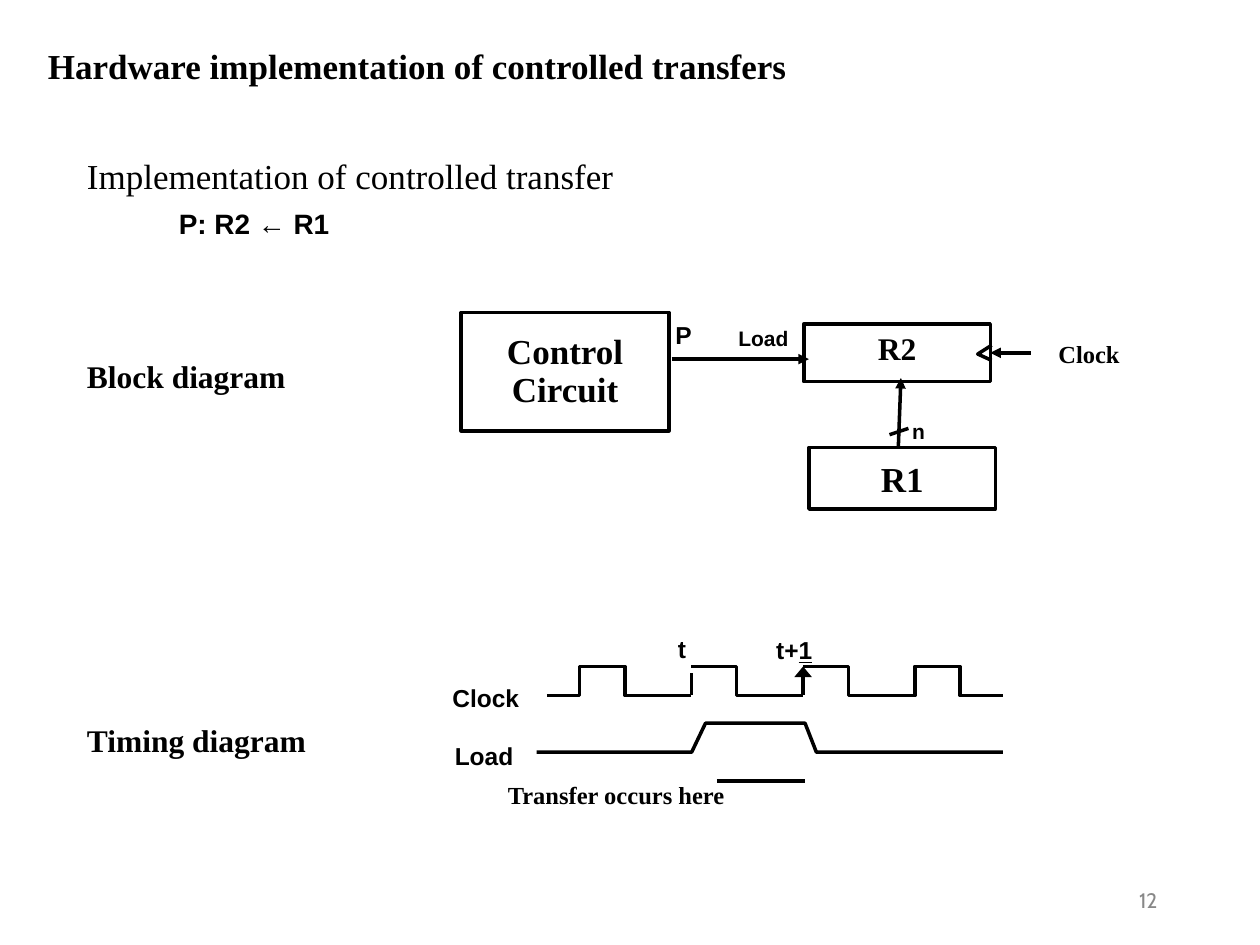
import pptx
import pptx.util
import pptx.dml.color
import pptx.enum.shapes
import pptx.enum.text
import pptx.oxml
import pptx.oxml.ns

COLORS = {"ink": "000000", "page": "888888"}
SERIF, SANS = "Times New Roman", "Arial"
COLS, ROWS = 100, 75
Align = pptx.enum.text.PP_ALIGN
Kind = pptx.enum.shapes.MSO_SHAPE

deck = pptx.Presentation()
deck.slide_width = pptx.util.Inches(10)
deck.slide_height = pptx.util.Inches(7.5)
slide = deck.slides.add_slide(deck.slide_layouts[5])
shapes = slide.shapes


def spot(box, col, row):
    """Turn a grid place within a region into slide units."""
    return (round((box[0] + col) * deck.slide_width / COLS),
            round((box[1] + row) * deck.slide_height / ROWS))


def paint(part, name):
    part.rgb = pptx.dml.color.RGBColor.from_string(COLORS[name])


def place(shape, box, at):
    shape.left, shape.top = spot(box, *at[:2])
    shape.width, shape.height = spot((0, 0), *at[2:])


def style(font, face, size, bold=True, color="ink", **more):
    look = {"name": face, "size": pptx.util.Pt(size), "bold": bold, **more}
    for key, value in look.items():
        setattr(font, key, value)
    paint(font.color, color)


def fill_text(shape, text, face, size, top=0.01, align=Align.LEFT, **look):
    frame = shape.text_frame
    form = {"margin_left": 0, "margin_right": 0, "margin_bottom": 0,
            "margin_top": pptx.util.Inches(top), "word_wrap": True,
            "vertical_anchor": pptx.enum.text.MSO_ANCHOR.TOP}
    for key, value in form.items():
        setattr(frame, key, value)
    frame.text = text
    para = frame.paragraphs[0]
    para.alignment = align
    for run in para.runs:
        style(run.font, face, size, **look)
    return frame


def label(box, at, text, face, size, **look):
    shape = shapes.add_textbox(0, 0, 0, 0)
    place(shape, box, at)
    return fill_text(shape, text, face, size, **look)


def stroke(line):
    line.width = pptx.util.Pt(2)
    paint(line.color, "ink")


def block(box, at, text, size, top):
    shape = shapes.add_shape(Kind.RECTANGLE, 0, 0, 0, 0)
    place(shape, box, at)
    shape.shadow.inherit = False
    shape.fill.background()
    stroke(shape.line)
    return fill_text(shape, text, SERIF, size, top, Align.CENTER)


def link(box, start, end, head=None):
    line = shapes.add_connector(
        pptx.enum.shapes.MSO_CONNECTOR.STRAIGHT,
        *spot(box, *start), *spot(box, *end))
    stroke(line.line)
    props = line._element.spPr
    if head:
        tip = pptx.oxml.parse_xml(
            f'<a:tailEnd {pptx.oxml.ns.nsdecls("a")} type="triangle" w="{head}" len="med"/>')
        props.find(pptx.oxml.ns.qn("a:ln")).append(tip)
    props.append(pptx.oxml.parse_xml(
        f'<a:effectLst {pptx.oxml.ns.nsdecls("a")}/>'))


def trace(box, points):
    first, *rest = [spot(box, *point) for point in points]
    build = shapes.build_freeform(*first)
    build.add_line_segments(rest, close=False)
    shape = build.convert_to_shape()
    shape.shadow.inherit = False
    shape.fill.background()
    stroke(shape.line)


def add_title(box):
    place(shapes.title, (0, 0), box)
    fill_text(shapes.title, "Hardware implementation of controlled transfers",
              SERIF, 20)


def add_intro(box):
    frame = label((0, 0), box, "Implementation of controlled transfer",
                  SERIF, 20, bold=False, top=0.11)
    rule = frame.add_paragraph()
    rule.text = "P: R2 ← R1"
    rule.space_before = pptx.util.Pt(5.5)
    rule._p.get_or_add_pPr().set("marL", str(pptx.util.Inches(0.73)))
    style(rule.runs[0].font, SANS, 16)


def add_blocks(box):
    # Control circuit and registers
    control = block(box, (0, 0, 16.5, 9.4), "Control\vCircuit", 20, 0.17)
    control.paragraphs[0].line_spacing = pptx.util.Pt(21.6)
    block(box, (27.2, 0.9, 14.8, 4.6), "R2", 18, 0.04)
    block(box, (27.6, 10.7, 14.8, 4.9), "R1", 20, 0.08)

    # Load, data and clock arrows
    for start, end in (((16.7, 3.7), (27.6, 3.7)),
                       ((34.7, 10.6), (34.9, 5.2)),
                       ((45.2, 3.2), (42, 3.2))):
        link(box, start, end, "med")
    link(box, (35.5, 9.2), (34, 9.7))
    trace(box, [(42.1, 2.6), (41, 3.3), (42.1, 3.8)])

    # Signal names
    for at, text, face, size in (
            ((17, 0.5, 2, 2.6), "P", SANS, 14),
            ((22, 0.9, 5, 2.3), "Load", SANS, 12),
            ((35.8, 8.3, 2, 2.3), "n", SANS, 12),
            ((47.4, 2, 6, 2.6), "Clock", SERIF, 14)):
        label(box, at, text, face, size)


def add_timing(box):
    # Clock wave, broken at the edges t and t+1
    high, low, end = 2.7, 5, 43.7
    rises = [10.1 + 8.87 * step for step in range(4)]
    one, two, three, four = [
        [(rise, high), (rise + 3.6, high), (rise + 3.6, low)] for rise in rises]
    feet = [(rise, low) for rise in rises]
    trace(box, [(7.5, low), feet[0], *one, feet[1]])
    trace(box, [*two, feet[2]])
    trace(box, [*three, feet[3], *four, (end, low)])
    link(box, feet[1], (rises[1], 3.2))
    link(box, feet[2], (rises[2], high), "lg")

    # Load wave and transfer mark
    trace(box, [(6.7, 9.5), (19, 9.5), (20.1, 7.2), (28, 7.2),
                (28.9, 9.5), (end, 9.5)])
    link(box, (21, 11.8), (28, 11.8))

    # Signal names and instants
    for at, text, face in (
            ((0, 3.9, 6.5, 2.6), "Clock", SANS),
            ((0.2, 8.5, 6, 2.6), "Load", SANS),
            ((17.9, 0, 2, 2.6), "t", SANS),
            ((4.4, 11.6, 18.5, 2.6), "Transfer occurs here", SERIF)):
        label(box, at, text, face, 14)
    following = label(box, (25.7, 0.1, 5.8, 2.6), "t+", SANS, 14)
    digit = following.paragraphs[0].add_run()
    digit.text = "1"
    style(digit.font, SANS, 14, underline=True)


def add_page(box):
    frame = label((0, 0), box, "12", "Cabin", 12, top=0, bold=False, color="page")
    para = frame.paragraphs[0]
    para.line_spacing = pptx.util.Pt(12.4)
    para._p.get_or_add_pPr().set("marL", str(pptx.util.Inches(0.04)))


add_title((3.8, 3.4, 62, 3.6))
add_intro((6.9, 11.2, 44, 8))
for row, name in ((28.2, "Block diagram"), (57.1, "Timing diagram")):
    label((6.9, row), (0, 0, 18.5, 3.3), name, SERIF, 18)
add_blocks((36.6, 24.8))
add_timing((35.9, 50.2))
add_page((90, 70.7, 2.5, 2))
deck.save("out.pptx")
